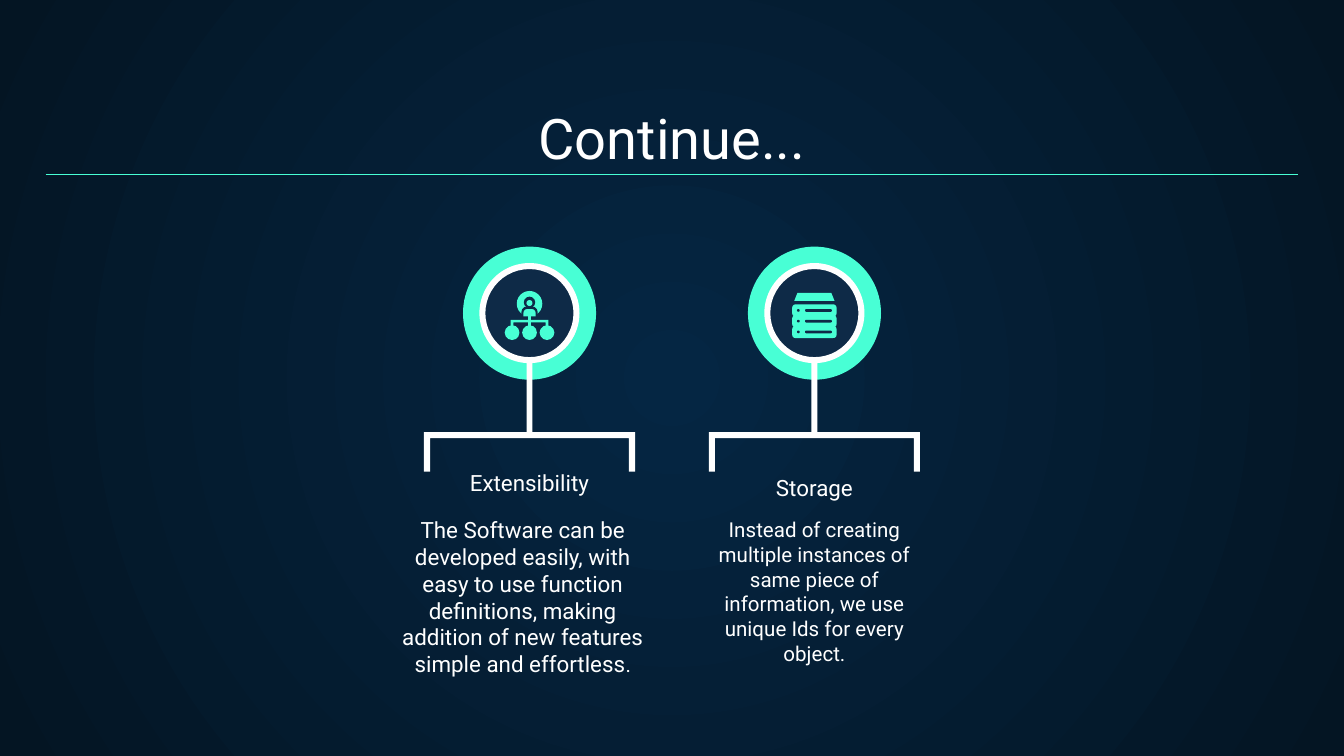
from dataclasses import dataclass
from typing import Callable

from lxml import etree
from pptx import Presentation
from pptx import util as u
from pptx.dml.color import RGBColor
from pptx.enum import shapes, text
from pptx.oxml.ns import qn

WHITE = RGBColor(0xFF, 0xFF, 0xFF)
MINT = RGBColor(0x48, 0xFF, 0xD5)
NAVY = RGBColor(0x0E, 0x2A, 0x47)
GLOW = RGBColor(0x05, 0x26, 0x43)
NIGHT = RGBColor(0x04, 0x15, 0x23)
FONT = "Roboto"
FORM = shapes.MSO_SHAPE
ANCHOR = text.MSO_ANCHOR

# The slide is a grid of 100 columns by 56.25 rows with square cells
COLUMNS, ROWS = 100, 56.25
MARGIN = 3.4
AXES = (39.4, 60.6)   # middle column of each topic
HUB_ROW = 23.3        # middle row of both badges


def cells(count: float) -> int:
    return u.Inches(count / 10)


@dataclass
class Box:
    left: float
    top: float
    width: float
    height: float

    def emu(self) -> tuple[int, ...]:
        return tuple(cells(n) for n in (self.left, self.top, self.width, self.height))


def centered(x: float, y: float, width: float, height: float) -> Box:
    return Box(x - width / 2, y - height / 2, width, height)


@dataclass
class Topic:
    heading: str
    heading_top: float
    body: list[tuple[str, int]]   # runs: wording and size
    body_box: Box
    icon: Callable[[float], None]


def paint(shape, color: RGBColor) -> None:
    shape.shadow.inherit = False
    shape.fill.solid()
    shape.fill.fore_color.rgb = color
    shape.line.fill.background()


def draw(form, box: Box, color: RGBColor, adjust: float | None = None) -> None:
    shape = slide.shapes.add_shape(form, *box.emu())
    if adjust is not None:
        shape.adjustments[0] = adjust
    paint(shape, color)


def disc(x: float, y: float, size: float, color: RGBColor) -> None:
    draw(FORM.OVAL, centered(x, y, size, size), color)


def bracket(box: Box, thick: float, color: RGBColor) -> None:
    """A bar with a leg hanging down at each end."""
    right, bottom = box.left + box.width, box.top + box.height
    inner_left, inner_right, under = box.left + thick, right - thick, box.top + thick
    corners = [(right, box.top), (right, bottom), (inner_right, bottom),
               (inner_right, under), (inner_left, under), (inner_left, bottom),
               (box.left, bottom)]
    outline = slide.shapes.build_freeform(cells(box.left), cells(box.top))
    outline.add_line_segments([(cells(x), cells(y)) for x, y in corners])
    paint(outline.convert_to_shape(), color)


def write(frame, runs: list[tuple[str, int]], anchor) -> None:
    frame.word_wrap = True
    frame.auto_size = text.MSO_AUTO_SIZE.NONE
    frame.vertical_anchor = anchor
    frame.margin_left = frame.margin_right = cells(1)
    frame.margin_top = frame.margin_bottom = cells(1)
    paragraph = frame.paragraphs[0]
    paragraph.alignment = text.PP_ALIGN.CENTER
    for wording, size in runs:
        run = paragraph.add_run()
        run.text = wording
        run.font.name = FONT
        run.font.size = u.Pt(size)
        run.font.color.rgb = WHITE


def people_icon(x: float) -> None:
    # Person inside a badge
    disc(x, 22.6, 1.9, MINT)
    disc(x, 22.5, 0.85, NAVY)
    draw(FORM.ROUND_2_SAME_RECTANGLE, Box(x - 0.6, 22.8, 1.2, 0.8), NAVY, 0.5)
    disc(x, 22.55, 0.45, MINT)
    draw(FORM.ROUND_2_SAME_RECTANGLE, Box(x - 0.45, 23, 0.9, 0.55), MINT, 0.5)
    # Tree with three branches
    draw(FORM.RECTANGLE, Box(x - 0.1, 23.5, 0.2, 0.8), MINT)
    bracket(Box(x - 1.4, 23.8, 2.8, 0.5), 0.2, MINT)
    for step in (-1, 0, 1):
        disc(x + 1.3 * step, 24.75, 1.1, MINT)


def storage_icon(x: float) -> None:
    draw(FORM.TRAPEZOID, Box(x - 1.5, 21.8, 3, 0.6), MINT, 0.4)
    for row in range(3):
        y = 23.1 + 0.8 * row
        draw(FORM.ROUNDED_RECTANGLE, centered(x, y, 3.3, 0.9), MINT, 0.25)
        disc(x - 1.2, y, 0.2, NAVY)
        draw(FORM.ROUNDED_RECTANGLE, centered(x + 0.3, y, 2, 0.2), NAVY, 0.5)


def draw_topic(topic: Topic, x: float) -> None:
    # Wording
    heading = slide.shapes.add_textbox(*Box(x - 11.35, topic.heading_top, 22.7, 2.1).emu())
    write(heading.text_frame, [(topic.heading, 12)], ANCHOR.BOTTOM)
    body = slide.shapes.add_textbox(*topic.body_box.emu())
    write(body.text_frame, topic.body, ANCHOR.TOP)
    # Badge on its stand
    bracket(Box(x - 7.85, 32.15, 15.7, 2.95), 0.45, WHITE)
    disc(x, HUB_ROW, 9.9, MINT)
    draw(FORM.ROUNDED_RECTANGLE, Box(x - 0.22, 22.6, 0.44, 9.95), WHITE, 0.5)
    disc(x, HUB_ROW, 7, NAVY)
    draw(FORM.DONUT, centered(x, HUB_ROW, 7.45, 7.45), WHITE, 0.06)
    topic.icon(x)


TOPICS = [
    Topic("Extensibility", 35.8,
          [("The Software can be developed easily, with easy to use function definitions, "
            "making addition of new features simple and effortless", 12), (".", 11)],
          Box(28.9, 37.4, 20, 10), people_icon),
    Topic("Storage", 36.15,
          [("Instead of creating multiple instances of same piece of information, "
            "we use unique Ids for every object.", 11)],
          Box(51.7, 37.5, 17.8, 9.9), storage_icon),
]

deck = Presentation()
deck.slide_width, deck.slide_height = cells(COLUMNS), cells(ROWS)
slide = deck.slides.add_slide(deck.slide_layouts[5])

# Background: glow spreading from the middle
backdrop = slide.background.fill
backdrop.gradient()
for stop, shade in zip(backdrop.gradient_stops, (GLOW, NIGHT)):
    stop.color.rgb = shade
linear = next(slide.element.iter(qn("a:lin")))
radial = etree.Element(qn("a:path"), {"path": "circle"})
etree.SubElement(radial, qn("a:fillToRect"), dict.fromkeys("ltrb", "50000"))
linear.getparent().replace(linear, radial)

# Title and rule
title = slide.shapes.title
title.left, title.top, title.width, title.height = Box(
    MARGIN, 7.1, COLUMNS - 2 * MARGIN, 6.6).emu()
write(title.text_frame, [("Continue...", 30)], ANCHOR.BOTTOM)
rule = slide.shapes.add_connector(
    shapes.MSO_CONNECTOR.STRAIGHT, cells(MARGIN), cells(13), cells(COLUMNS - MARGIN), cells(13))
rule.line.color.rgb = MINT
rule.line.width = u.Pt(0.75)
etree.SubElement(rule._element.spPr, qn("a:effectLst"))

# Topics
for topic, axis in zip(TOPICS, AXES):
    draw_topic(topic, axis)

deck.save("out.pptx")
